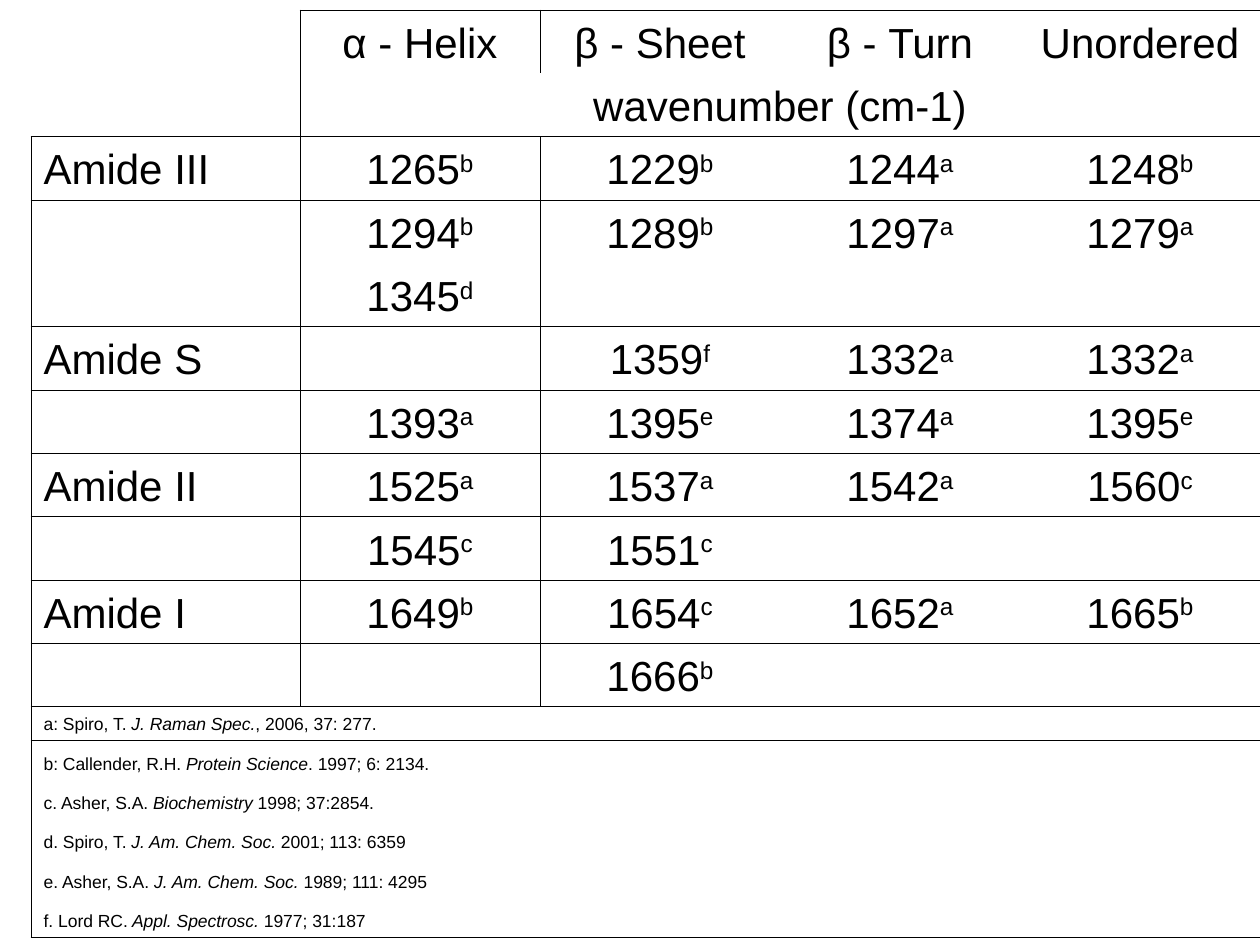
from dataclasses import dataclass
from lxml.etree import SubElement
from pptx import Presentation
from pptx.dml.color import RGBColor
from pptx.enum.text import MSO_ANCHOR, PP_ALIGN
from pptx.oxml.ns import qn
from pptx.util import Pt

PX = 914400 / 126
NO_STYLE = "{2D5ABB26-0587-4C30-8999-92F81FD0307C}"


@dataclass(frozen=True)
class Theme:
    font: str = "Arial"
    ink: str = "000000"
    body: int = 24
    note: int = 10
    line: float = 0.45


THEME = Theme()

HEADINGS = ["α - Helix", "β - Sheet", "β - Turn", "Unordered"]
BANDS = [
    ("Amide III", ["1265b 1229b 1244a 1248b", "1294b 1289b 1297a 1279a", "1345d - - -"]),
    ("Amide S", ["- 1359f 1332a 1332a", "1393a 1395e 1374a 1395e"]),
    ("Amide II", ["1525a 1537a 1542a 1560c", "1545c 1551c - -"]),
    ("Amide I", ["1649b 1654c 1652a 1665b", "- 1666b - -"]),
]
REFERENCES = [
    ("a: Spiro, T. ", "J. Raman Spec.", ", 2006, 37: 277."),
    ("b: Callender, R.H. ", "Protein Science", ". 1997; 6: 2134."),
    ("c. Asher, S.A. ", "Biochemistry ", "1998; 37:2854."),
    ("d. Spiro, T. ", "J. Am. Chem. Soc.", " 2001; 113: 6359"),
    ("e. Asher, S.A. ", "J. Am. Chem. Soc.", " 1989; 111: 4295"),
    ("f. Lord RC.", " Appl. Spectrosc.", " 1977; 31:187"),
]


def emu(px):
    return round(px * PX)


def write(cell, parts, size=THEME.body, align=PP_ALIGN.CENTER, raised=None, italic=None):
    p = cell.text_frame.paragraphs[0]
    p.alignment = align
    pPr = p._p.get_or_add_pPr()
    pPr.set("marL", str(emu(48)))
    pPr.set("indent", str(-emu(48)))
    for i, text in enumerate(parts):
        r = p.add_run()
        r.text = text
        r.font.name = THEME.font
        r.font.size = Pt(size)
        r.font.color.rgb = RGBColor.from_string(THEME.ink)
        if i == italic:
            r.font.italic = True
        if i == raised:
            r._r.get_or_add_rPr().set("baseline", "30000")


def outline(table, top, left, bottom, right):
    for row in range(top, bottom + 1):
        for col in range(left, right + 1):
            edges = {"lnL": col == left, "lnR": col == right,
                     "lnT": row == top, "lnB": row == bottom}
            tcPr = table.cell(row, col)._tc.get_or_add_tcPr()
            for tag in [tag for tag, drawn in edges.items() if drawn]:
                ln = SubElement(tcPr, qn(f"a:{tag}"), w=str(Pt(THEME.line)))
                fill = SubElement(ln, qn("a:solidFill"))
                SubElement(fill, qn("a:srgbClr"), val=THEME.ink)


def fill_header(table):
    for col, text in enumerate(HEADINGS, 1):
        write(table.cell(0, col), [text])
    table.cell(1, 1).merge(table.cell(1, 4))
    write(table.cell(1, 1), ["wavenumber (cm-1)"])
    outline(table, 0, 1, 1, 4)


def fill_band(table, top, name, lines):
    write(table.cell(top, 0), [name], align=PP_ALIGN.LEFT)
    for row, line in enumerate(lines, top):
        for col, value in enumerate(line.split(), 1):
            if value != "-":
                write(table.cell(row, col), [value[:-1], value[-1]], raised=1)
    bottom = top + len(lines) - 1
    outline(table, top, 0, bottom, 0)
    outline(table, top, 1, bottom, 4)


def fill_references(table, top):
    for row, parts in enumerate(REFERENCES, top):
        table.cell(row, 0).merge(table.cell(row, 4))
        write(table.cell(row, 0), parts, THEME.note, PP_ALIGN.LEFT, italic=1)
    outline(table, top, 0, top + len(REFERENCES) - 1, 4)


def add_band_table(s, left, top, width, height):
    body_rows = 2 + sum(len(lines) for _, lines in BANDS)
    first_note, note = 34, 39.4
    notes = first_note + note * (len(REFERENCES) - 1)
    body = (height - notes) / body_rows
    heights = [body] * body_rows + [first_note] + [note] * (len(REFERENCES) - 1)
    label = 269
    widths = [label] + [(width - label) / len(HEADINGS)] * len(HEADINGS)

    frame = s.shapes.add_table(len(heights), len(widths), *map(emu, (left, top, width, height)))
    table = frame.table
    table.first_row = table.horz_banding = False
    table._tbl.tblPr.find(qn("a:tableStyleId")).text = NO_STYLE
    for row, h in zip(table.rows, heights):
        row.height = emu(h)
    for col, w in zip(table.columns, widths):
        col.width = emu(w)

    fill_header(table)
    row = 2
    for name, lines in BANDS:
        fill_band(table, row, name, lines)
        row += len(lines)
    fill_references(table, row)
    for cell in table.iter_cells():
        cell.fill.background()
        cell.vertical_anchor = MSO_ANCHOR.BOTTOM


def main():
    prs = Presentation()
    prs.slide_width, prs.slide_height = emu(1260), emu(945)
    s = prs.slides.add_slide(prs.slide_layouts[6])
    add_band_table(s, 31, 10, 1229, 928)
    prs.save("out.pptx")


if __name__ == "__main__":
    main()
